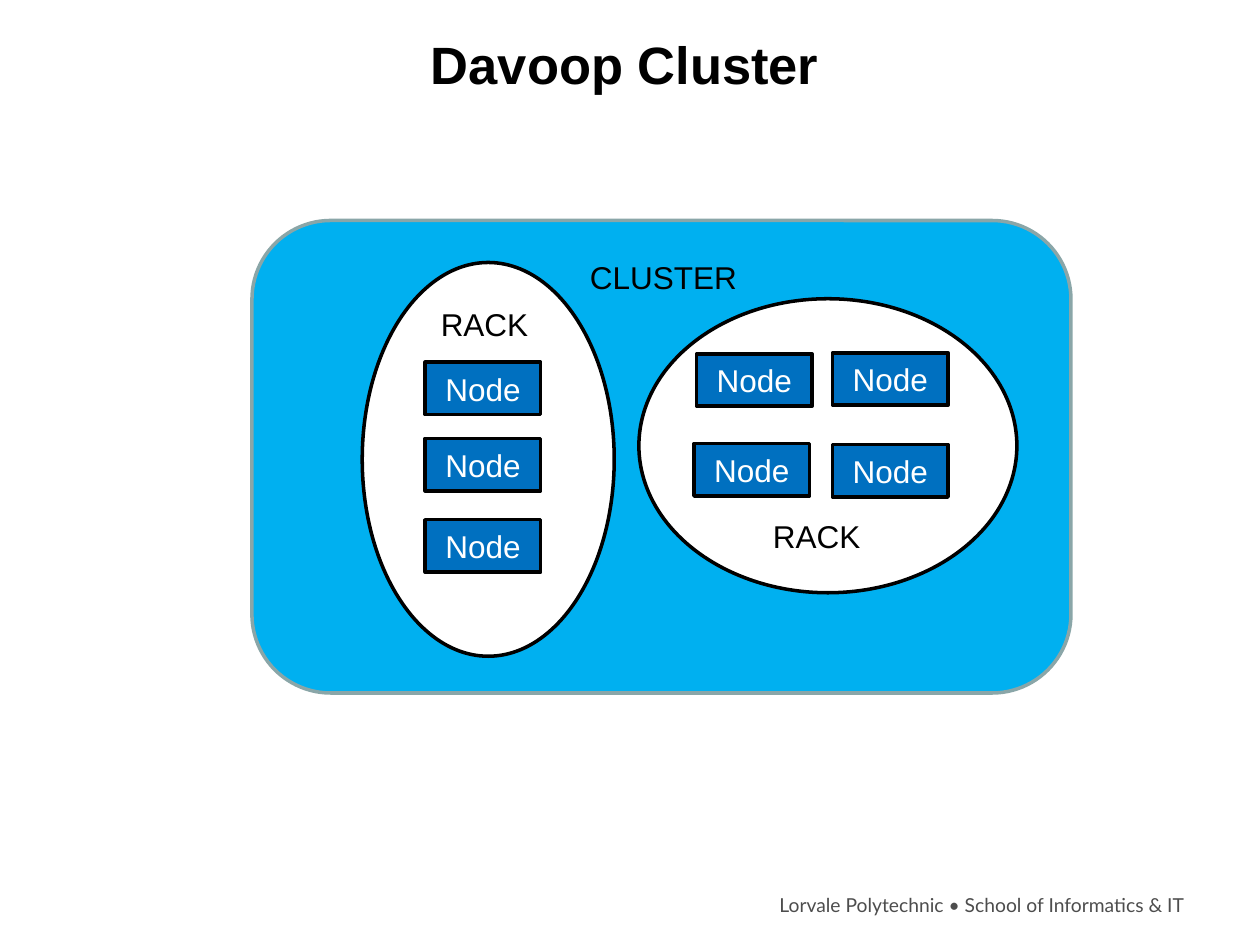
"""Build a slide showing a cluster made of racks of nodes."""
import pptx
import pptx.dml.color
import pptx.enum.shapes
import pptx.enum.text
import pptx.util

RGBColor = pptx.dml.color.RGBColor
Shape = pptx.enum.shapes.MSO_SHAPE
Align = pptx.enum.text.PP_ALIGN
Anchor = pptx.enum.text.MSO_ANCHOR

BLACK = RGBColor(0x00, 0x00, 0x00)
WHITE = RGBColor(0xFF, 0xFF, 0xFF)
CLUSTER_BLUE = RGBColor(0x00, 0xB0, 0xF0)
CLUSTER_EDGE = RGBColor(0x8A, 0xA6, 0xA8)
NODE_BLUE = RGBColor(0x00, 0x70, 0xC0)
FOOTER_GREY = RGBColor(0x4D, 0x4D, 0x4D)

COLUMNS, ROWS = 240, 180
SLIDE_WIDTH = pptx.util.Inches(10)
SLIDE_HEIGHT = pptx.util.Inches(7.5)
NODE_SIZE = (22, 10)
LABEL_ROWS = 9.6


def cells(box):
    """Turn a box of grid columns and rows into slide lengths."""
    left, top, width, height = box
    column, row = SLIDE_WIDTH / COLUMNS, SLIDE_HEIGHT / ROWS
    return [round(n) for n in (left * column, top * row, width * column, height * row)]


def inside(box, part):
    """Move a part from its parent's corner to the slide's grid."""
    return (box[0] + part[0], box[1] + part[1], part[2], part[3])


def write(holder, words, color=BLACK, size=18, font="Arial", bold=False,
          align=Align.CENTER, anchor=Anchor.TOP):
    """Write one styled run into a text holder."""
    frame = holder.text_frame
    frame.word_wrap = True
    frame.vertical_anchor = anchor
    paragraph = frame.paragraphs[0]
    paragraph.alignment = align
    run = paragraph.add_run()
    run.text = words
    run.font.size = pptx.util.Pt(size)
    run.font.name = font
    run.font.bold = bold
    run.font.color.rgb = color


def add_label(slide, box, words, **style):
    """Add a text box on the grid."""
    write(slide.shapes.add_textbox(*cells(box)), words, **style)


def add_outlined(slide, kind, box, fill, edge=BLACK):
    """Add a filled and outlined shape on the grid."""
    shape = slide.shapes.add_shape(kind, *cells(box))
    shape.shadow.inherit = False
    shape.fill.solid()
    shape.fill.fore_color.rgb = fill
    shape.line.color.rgb = edge
    shape.line.width = pptx.util.Pt(2)
    return shape


def add_rack(slide, box, label, nodes):
    """Draw a rack with its nodes and its label."""
    add_outlined(slide, Shape.OVAL, box, WHITE)
    for corner in nodes:
        node = add_outlined(slide, Shape.RECTANGLE, inside(box, corner + NODE_SIZE), NODE_BLUE)
        write(node, "Node", color=WHITE, anchor=Anchor.MIDDLE)
    add_label(slide, inside(box, label + (LABEL_ROWS,)), "RACK")


def add_cluster(slide, box):
    """Draw the cluster and the two racks it holds."""
    add_outlined(slide, Shape.ROUNDED_RECTANGLE, box, CLUSTER_BLUE, CLUSTER_EDGE)
    add_rack(slide, inside(box, (21, 8, 48, 75)), (7, 7, 32.6),
             [(12, 19), (12, 33.5), (12, 49)])
    add_rack(slide, inside(box, (73.7, 14.9, 72, 56)), (19.2, 40.5, 29.3),
             [(11, 10.5), (36.9, 10.3), (10.5, 27.6), (36.9, 27.8)])
    add_label(slide, inside(box, (62, 6, 38, LABEL_ROWS)), "CLUSTER", align=Align.LEFT)


def main():
    """Build and save the slide."""
    deck = pptx.Presentation()
    deck.slide_width, deck.slide_height = SLIDE_WIDTH, SLIDE_HEIGHT
    slide = deck.slides.add_slide(deck.slide_layouts[6])
    add_label(slide, (128, 169, 100, 7), "Lorvale Polytechnic • School of Informatics & IT",
              color=FOOTER_GREY, size=11, font="Lato", align=Align.RIGHT)
    add_label(slide, (9, 8, 220, 8), "Davoop Cluster", size=30, bold=True,
              anchor=Anchor.MIDDLE)
    add_cluster(slide, (48, 42, 156, 90))
    deck.save("out.pptx")


if __name__ == "__main__":
    main()
